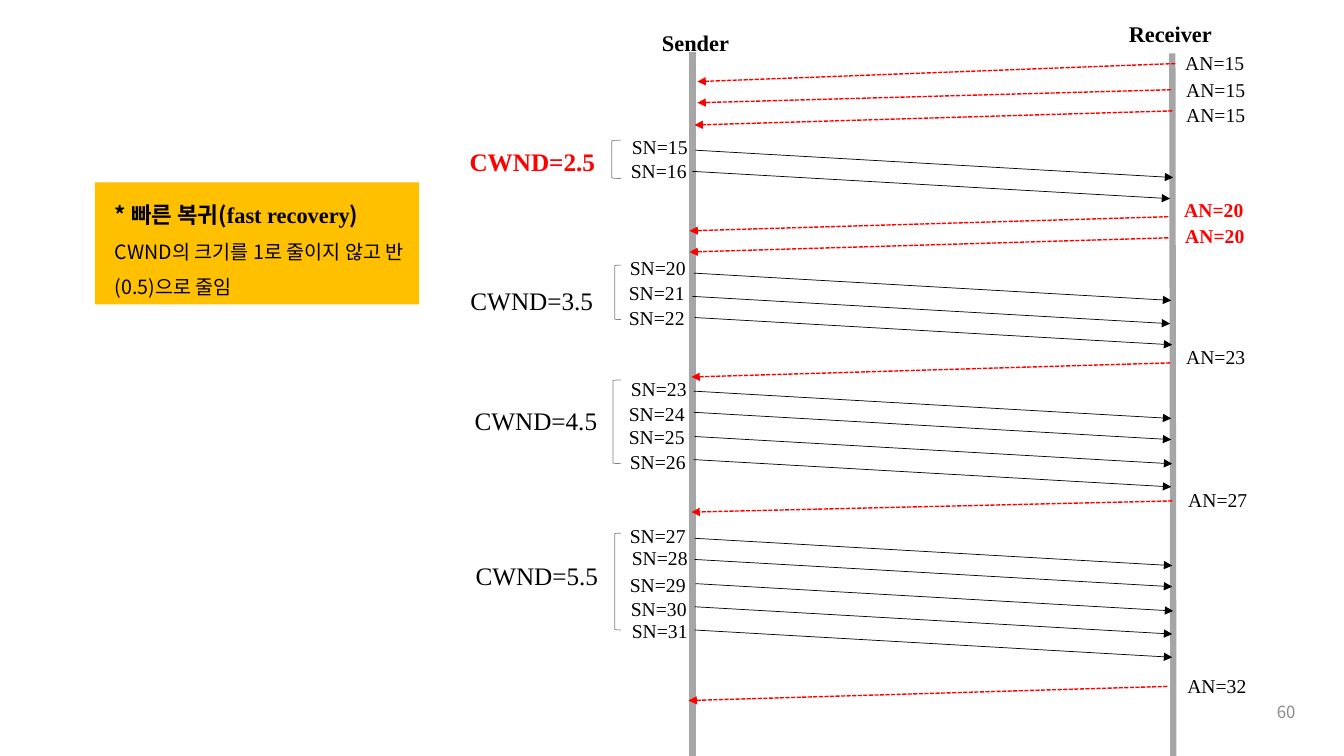
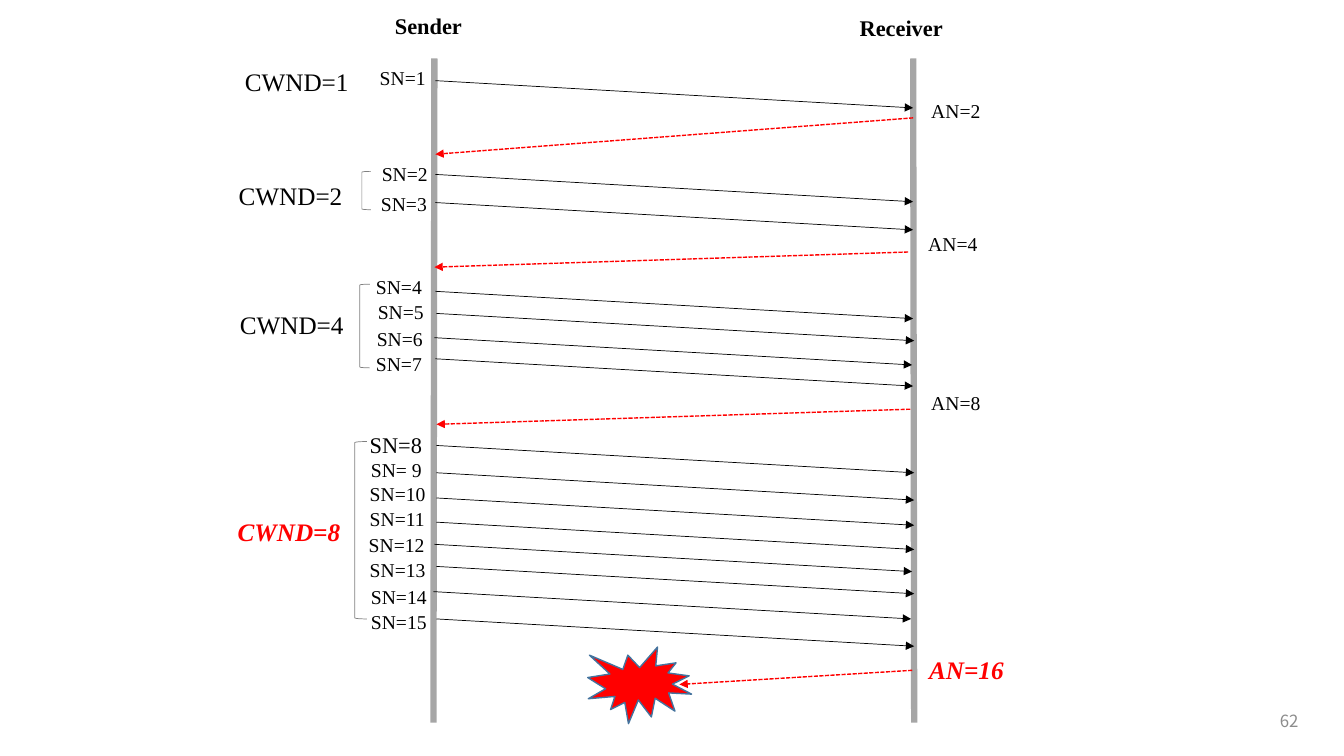
from dataclasses import dataclass
from typing import NamedTuple, Optional

from lxml import etree
from pptx import Presentation
from pptx.dml.color import RGBColor
from pptx.enum import dml, shapes, text
from pptx.oxml import ns
from pptx.util import Pt


@dataclass(frozen=True)
class Theme:
    black: str = "000000"
    red: str = "FF0000"
    lifeline: str = "A6A6A6"
    bracket: str = "808080"
    number: str = "8C8C8C"
    note: str = "FFC000"
    seal_edge: str = "43739E"
    latin: str = "Times New Roman"
    korean: str = "Noto Sans CJK KR"
    caption: float = 18
    title: float = 16
    label: float = 14
    footer: float = 12
    inset: float = 7.2
    packet_run: float = 341.2
    packet_drop: float = 19.5


THEME = Theme()
CHAR_EMS = {"S": 0.56, "N": 0.72, "A": 0.72, "D": 0.72, "C": 0.67, "R": 0.67,
            "W": 0.94, "=": 0.56, ".": 0.25, " ": 0.25, "i": 0.28}


class Style(NamedTuple):
    size: float
    color: str = THEME.black
    bold: bool = False
    italic: bool = False
    name: str = THEME.latin


CAPTION = Style(THEME.caption)
CAPTION_ALERT = Style(THEME.caption, THEME.red, True)
CAPTION_LOSS = Style(THEME.caption, THEME.red, True, True)
TITLE = Style(THEME.title, bold=True)
LABEL = Style(THEME.label)
LABEL_LARGE = Style(THEME.title)
LABEL_ALERT = Style(THEME.label, THEME.red, True)
FOOTER = Style(THEME.footer, THEME.number, name=THEME.korean)
NOTE_HEAD = Style(THEME.title, bold=True, name=THEME.korean)
NOTE_BODY = Style(THEME.label, name=THEME.korean)


class Box(NamedTuple):
    left: float
    top: float
    width: float
    height: float


class Line(NamedTuple):
    x1: float
    y1: float
    x2: float
    y2: float


class Label(NamedTuple):
    words: str
    left: float
    top: float
    style: Style = LABEL


class Segment(NamedTuple):
    number: str
    left: float
    top: float
    line_x: float
    line_y: float
    style: Style = LABEL


@dataclass(frozen=True)
class Window:
    caption: Label
    bracket: Optional[Box]
    segments: list[Segment]


class Ack(NamedTuple):
    label: Label
    line: Line


@dataclass(frozen=True)
class Diagram:
    number: Label
    titles: list[Label]
    lifelines: list[Line]
    windows: list[Window]
    acks: list[Ack]


RECOVERY = Diagram(
    Label("60", 716.4, 493.9, FOOTER),
    [Label("Sender", 465.8, 17.3, TITLE), Label("Receiver", 799.2, 10.8, TITLE)],
    [Line(494.6, 37.4, 494.6, 540), Line(837.4, 38.2, 838.1, 540)],
    [
        Window(Label("CWND=2.5", 328.3, 100.8, CAPTION_ALERT), Box(437, 100.1, 6.5, 27.4), [
            Segment("15", 444.2, 92.9, 496.8, 107.3),
            Segment("16", 443.5, 110.2, 494.6, 122.4)]),
        Window(Label("CWND=3.5", 329, 200.2, CAPTION), Box(439.2, 189.4, 4.3, 38.9), [
            Segment("20", 442.8, 179.3, 495.4, 195.1),
            Segment("21", 442.1, 197.3, 494.6, 211.7),
            Segment("22", 442.1, 215.3, 496.1, 226.8)]),
        Window(Label("CWND=4.5", 331.9, 285.8, CAPTION), Box(437.8, 271.4, 5.8, 59.8), [
            Segment("23", 443.5, 265.7, 495.4, 279.4),
            Segment("24", 442.1, 283.7, 495.4, 294.5),
            Segment("25", 442.1, 300.2, 496.1, 311.8),
            Segment("26", 442.8, 317.5, 495.4, 328.3)]),
        Window(Label("CWND=5.5", 332.6, 396.7, CAPTION), Box(439.2, 380.9, 4.3, 69.1), [
            Segment("27", 442.8, 370.8, 496.1, 384.5),
            Segment("28", 444.2, 386.6, 496.1, 399.6),
            Segment("29", 442.8, 405.4, 496.8, 416.9),
            Segment("30", 443.5, 422.6, 496.1, 433.4),
            Segment("31", 444.2, 438.5, 496.1, 450)]),
    ],
    [
        Ack(Label("AN=15", 839.5, 33.1), Line(839.5, 45.4, 498.2, 58.3)),
        Ack(Label("AN=15", 840.2, 51.8), Line(836.6, 64.1, 498.2, 73.4)),
        Ack(Label("AN=15", 840.2, 69.8), Line(837.4, 79.2, 496.1, 89.3)),
        Ack(Label("AN=20", 838.8, 137.5, LABEL_ALERT), Line(834.5, 154.8, 492.5, 164.9)),
        Ack(Label("AN=20", 839.5, 156.2, LABEL_ALERT), Line(834.5, 169.9, 492.5, 180)),
        Ack(Label("AN=23", 840.2, 242.6), Line(835.9, 259.2, 493.9, 269.3)),
        Ack(Label("AN=27", 841.7, 344.9), Line(837.4, 357.8, 493.9, 365.8)),
        Ack(Label("AN=32", 841, 478.1), Line(833.8, 490.3, 491.8, 500.4)),
    ],
)

SLOW_START = Diagram(
    Label("62", 718.6, 500.4, FOOTER),
    [Label("Sender", 275, 5, TITLE), Label("Receiver", 607, 6.5, TITLE)],
    [Line(310.3, 41.8, 309.6, 516.2), Line(652.3, 41.8, 653, 516.2)],
    [
        Window(Label("CWND=1", 167.8, 43.9, CAPTION), None, [
            Segment("1", 264.2, 43.2, 311, 57.6)]),
        Window(Label("CWND=2", 163.4, 125.3, CAPTION), Box(258.5, 122.4, 6.5, 27.4), [
            Segment("2", 265.7, 112.3, 311, 124.6),
            Segment("3", 265, 133.2, 311, 144.7)]),
        Window(Label("CWND=4", 164.2, 217.4, CAPTION), Box(257, 203, 7.2, 59.8), [
            Segment("4", 261.4, 193, 311, 208.1),
            Segment("5", 262.8, 211, 311.8, 223.9),
            Segment("6", 262.1, 229.7, 310.3, 241.2),
            Segment("7", 261.4, 247.7, 311, 256.3)]),
        Window(Label("CWND=8", 162.7, 365, CAPTION_LOSS), Box(253.4, 315.4, 8.6, 126.7), [
            Segment("8", 257, 304.6, 311.8, 318.2, LABEL_LARGE),
            Segment(" 9", 257.8, 323.3, 311.8, 337.7),
            Segment("10", 257, 340.6, 311.8, 355.7),
            Segment("11", 257, 358.6, 311.8, 373),
            Segment("12", 256.3, 377.3, 310.3, 388.8),
            Segment("13", 257, 395.3, 311.8, 404.6),
            Segment("14", 257.8, 414, 309.6, 422.6),
            Segment("15", 257.8, 432, 311.8, 442.1)]),
    ],
    [
        Ack(Label("AN=2", 658.1, 67), Line(652.3, 84.2, 311, 110.2)),
        Ack(Label("AN=4", 655.9, 162), Line(648.7, 180, 310.3, 190.8)),
        Ack(Label("AN=8", 658.1, 275.8), Line(650.2, 292.3, 311.8, 303.1)),
        Ack(Label("AN=16", 656.6, 463.7, CAPTION_LOSS), Line(651.6, 478.8, 485.3, 488.9)),
    ],
)

NOTE = [
    [("* 빠른 복귀(", NOTE_HEAD), ("fast recovery", TITLE), (")", NOTE_HEAD)],
    [("CWND의 크기를 1로 줄이지 않고 반(0.5)으로 줄임", NOTE_BODY)],
]


def rgb(color: str) -> RGBColor:
    return RGBColor.from_string(color)


def format_span(span, style: Style) -> None:
    font = span.font
    font.size = Pt(style.size)
    font.bold = style.bold
    font.italic = style.italic
    font.color.rgb = rgb(style.color)
    font.name = style.name
    if style.name == THEME.korean:
        etree.SubElement(span._r.get_or_add_rPr(), ns.qn("a:ea"), typeface=style.name)


def text_width(label: Label) -> float:
    ems = sum(CHAR_EMS.get(char, 0.5) for char in label.words)
    return ems * label.style.size * (1.05 if label.style.bold else 1) + 2 * THEME.inset


def draw_label(page, label: Label) -> None:
    box = page.shapes.add_textbox(Pt(label.left), Pt(label.top), Pt(text_width(label)),
                                  Pt(label.style.size * 1.2 + THEME.inset))
    frame = box.text_frame
    frame.text = label.words
    frame.word_wrap = False
    frame.auto_size = text.MSO_AUTO_SIZE.SHAPE_TO_FIT_TEXT
    format_span(frame.paragraphs[0].runs[0], label.style)


def draw_number(page, label: Label) -> None:
    box = page.shapes.add_textbox(Pt(label.left), Pt(label.top), Pt(216), Pt(28.8))
    frame = box.text_frame
    frame.word_wrap = True
    frame.vertical_anchor = text.MSO_ANCHOR.MIDDLE
    para = frame.paragraphs[0]
    para.text = label.words
    para.alignment = text.PP_ALIGN.RIGHT
    format_span(para.runs[0], label.style)


def draw_line(page, line: Line, color: str, width: float,
              arrow: bool = False, dashed: bool = False) -> None:
    connector = page.shapes.add_connector(shapes.MSO_CONNECTOR.STRAIGHT,
                                          *(Pt(value) for value in line))
    connector.line.color.rgb = rgb(color)
    connector.line.width = Pt(width)
    if dashed:
        connector.line.dash_style = dml.MSO_LINE.SQUARE_DOT
    if arrow:
        etree.SubElement(connector.line._get_or_add_ln(), ns.qn("a:tailEnd"), type="triangle")
    etree.SubElement(connector._element.spPr, ns.qn("a:effectLst"))


def draw_shape(page, kind, box: Box, fill: Optional[str] = None,
               edge: Optional[str] = None, width: float = 0.5):
    shape = page.shapes.add_shape(kind, *(Pt(value) for value in box))
    shape.shadow.inherit = False
    if fill:
        shape.fill.solid()
        shape.fill.fore_color.rgb = rgb(fill)
    else:
        shape.fill.background()
    if edge:
        shape.line.color.rgb = rgb(edge)
        shape.line.width = Pt(width)
    else:
        shape.line.fill.background()
    return shape


def draw_window(page, window: Window) -> None:
    draw_label(page, window.caption)
    if window.bracket:
        draw_shape(page, shapes.MSO_SHAPE.LEFT_BRACKET, window.bracket, edge=THEME.bracket)
    for segment in window.segments:
        draw_label(page, Label(f"SN={segment.number}", segment.left, segment.top, segment.style))
        draw_line(page, Line(segment.line_x, segment.line_y,
                             segment.line_x + THEME.packet_run,
                             segment.line_y + THEME.packet_drop),
                  THEME.black, 0.5, arrow=True)


def draw_diagram(deck, diagram: Diagram):
    page = deck.slides.add_slide(deck.slide_layouts[6])
    draw_number(page, diagram.number)
    for lifeline in diagram.lifelines:
        draw_line(page, lifeline, THEME.lifeline, 4.5)
    for title in diagram.titles:
        draw_label(page, title)
    for window in diagram.windows:
        draw_window(page, window)
    for ack in diagram.acks:
        draw_label(page, ack.label)
        draw_line(page, ack.line, THEME.red, 1, arrow=True, dashed=True)
    return page


def draw_note(page) -> None:
    shape = draw_shape(page, shapes.MSO_SHAPE.RECTANGLE, Box(67.7, 130.3, 231.8, 87.1), THEME.note)
    frame = shape.text_frame
    frame.word_wrap = True
    frame.vertical_anchor = text.MSO_ANCHOR.TOP
    frame.auto_size = text.MSO_AUTO_SIZE.SHAPE_TO_FIT_TEXT
    for index, spans in enumerate(NOTE):
        para = frame.add_paragraph() if index else frame.paragraphs[0]
        para.alignment = text.PP_ALIGN.LEFT
        para.line_spacing = 1.5
        para._p.get_or_add_pPr().set("marL", str(Pt(THEME.inset)))
        for words, style in spans:
            span = para.add_run()
            span.text = words
            format_span(span, style)


def main() -> None:
    deck = Presentation()
    deck.slide_width, deck.slide_height = Pt(960), Pt(540)
    draw_note(draw_diagram(deck, RECOVERY))
    page = draw_diagram(deck, SLOW_START)
    draw_shape(page, shapes.MSO_SHAPE.EXPLOSION1, Box(419.8, 462.2, 74.2, 54.7),
               THEME.red, THEME.seal_edge, 1)
    deck.save("out.pptx")


if __name__ == "__main__":
    main()
